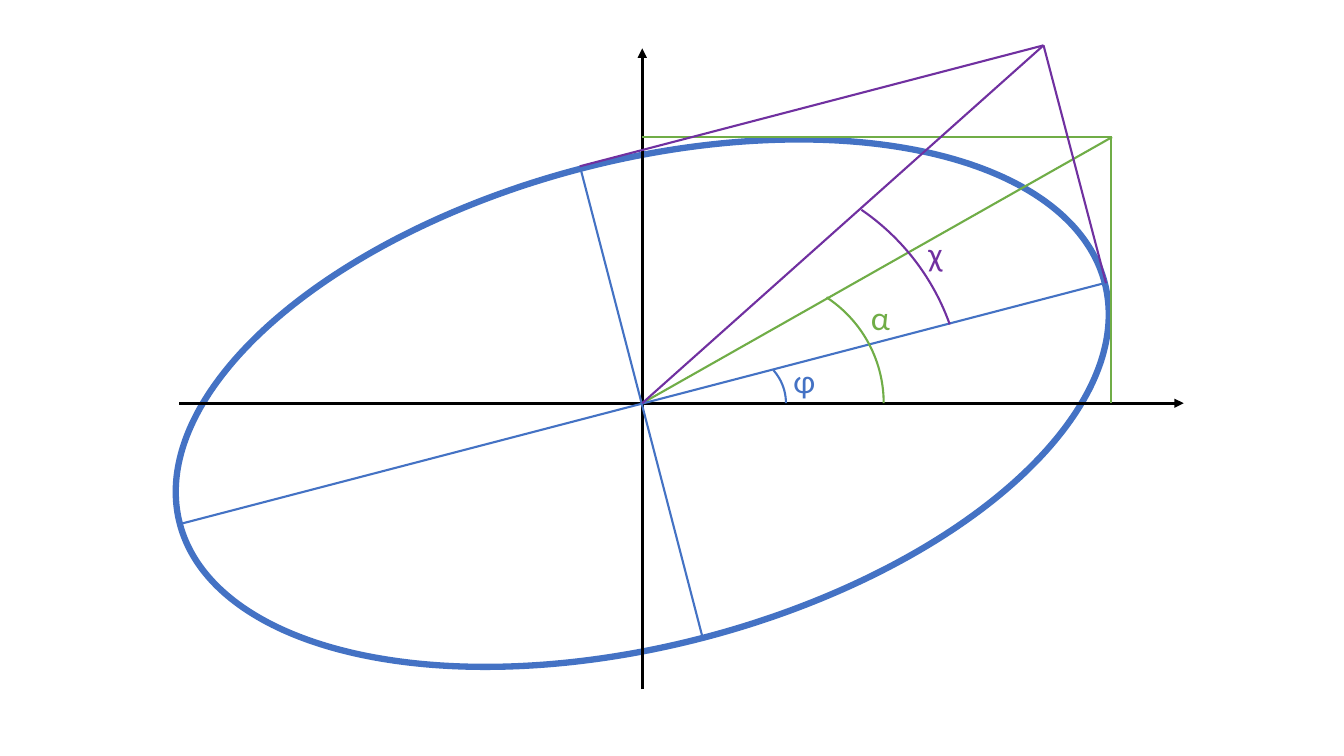
"""Draw a tilted ellipse with its axes, bounding corners and three marked angles."""
import dataclasses
import typing

import lxml.etree
import pptx
import pptx.dml.color
import pptx.enum.shapes
import pptx.enum.text
import pptx.oxml.ns
import pptx.util

Inches = pptx.util.Inches
Point = tuple[float, float]
Shapes = enum_shapes = pptx.enum.shapes.MSO_SHAPE
COLOURS = {"blue": "4472C4", "green": "70AD47", "purple": "7030A0", "black": "000000", "white": "FFFFFF"}
CENTRE = (6.37, 4)
GREEN_CORNER = (11.03, 1.36)
PURPLE_CORNER = (10.35, 0.45)
ELLIPSE_SIZE = (9.48, 4.81)
ELLIPSE_TILT = -14.6


@dataclasses.dataclass(frozen=True)
class Segment:
    """A straight line, with an arrowhead at its end if wanted."""
    start: Point
    end: Point
    colour: str
    width: float = 1.5
    arrow: bool = False


@dataclasses.dataclass(frozen=True)
class Angle:
    """An arc of a circle in degrees clockwise, and its Greek letter."""
    letter: str
    colour: str
    middle: float
    radius: float
    first: float
    last: float
    label: Point


SEGMENTS = [
    Segment((1.78, 4), (11.74, 4), "black", 2.25, True),
    Segment((6.37, 6.84), (6.37, 0.48), "black", 2.25, True),
    Segment((6.37, 1.36), GREEN_CORNER, "green"),
    Segment((11.02, 1.36), (11.02, 4), "green"),
    Segment(GREEN_CORNER, CENTRE, "green"),
    Segment((10.95, 2.81), (1.78, 5.2), "blue"),
    Segment((6.97, 6.33), (5.76, 1.68), "blue"),
    Segment(PURPLE_CORNER, (5.75, 1.65), "purple"),
    Segment((10.97, 2.81), PURPLE_CORNER, "purple"),
    Segment(PURPLE_CORNER, CENTRE, "purple"),
]
ANGLES = [
    Angle("φ", "blue", 7.3, 0.495, 318.57, 0, (7.77, 3.52)),
    Angle("α", "green", 7.51, 1.255, 303.22, 0, (8.54, 2.9)),
    Angle("χ", "purple", 7.23, 2.325, 304.39, 340.35, (9.11, 2.26)),
]


def rgb(name: str) -> pptx.dml.color.RGBColor:
    """Return a named colour."""
    return pptx.dml.color.RGBColor.from_string(COLOURS[name])


def apply(target: typing.Any, values: dict[str, typing.Any]) -> None:
    """Set each format value on the target."""
    for name, value in values.items():
        setattr(target, name, value)


def style_line(line: typing.Any, colour: str, width: float) -> None:
    """Give a line its colour and width."""
    line.color.rgb = rgb(colour)
    line.width = pptx.util.Pt(width)


def draw_ellipse(shapes: typing.Any) -> None:
    """Draw the tilted ellipse around the centre."""
    width, height = ELLIPSE_SIZE
    ellipse = shapes.add_shape(
        pptx.enum.shapes.MSO_SHAPE.OVAL,
        Inches(CENTRE[0] - width / 2), Inches(CENTRE[1] - height / 2), Inches(width), Inches(height))
    ellipse.rotation = ELLIPSE_TILT
    ellipse.shadow.inherit = False
    ellipse.fill.solid()
    ellipse.fill.fore_color.rgb = rgb("white")
    style_line(ellipse.line, "blue", 4.5)


def draw_segment(shapes: typing.Any, segment: Segment) -> None:
    """Draw one straight line."""
    ends = [Inches(value) for value in (*segment.start, *segment.end)]
    connector = shapes.add_connector(pptx.enum.shapes.MSO_CONNECTOR.STRAIGHT, *ends)
    style_line(connector.line, segment.colour, segment.width)
    properties = connector.element.spPr
    if segment.arrow:
        outline = properties.find(pptx.oxml.ns.qn("a:ln"))
        lxml.etree.SubElement(outline, pptx.oxml.ns.qn("a:tailEnd"), type="triangle")
    lxml.etree.SubElement(properties, pptx.oxml.ns.qn("a:effectLst"))


def draw_arc(shapes: typing.Any, angle: Angle) -> None:
    """Draw the arc of one angle."""
    side = Inches(2 * angle.radius)
    arc = shapes.add_shape(
        pptx.enum.shapes.MSO_SHAPE.ARC,
        Inches(angle.middle - angle.radius), Inches(CENTRE[1] - angle.radius), side, side)
    for index, degrees in enumerate((angle.first, angle.last)):
        arc.adjustments[index] = degrees * 0.6
    arc.shadow.inherit = False
    arc.fill.background()
    style_line(arc.line, angle.colour, 1.5)


def draw_label(shapes: typing.Any, angle: Angle) -> None:
    """Write the letter of one angle."""
    left, top = angle.label
    box = shapes.add_textbox(Inches(left), Inches(top), Inches(0.52), Inches(0.5))
    apply(box.text_frame, {
        "text": angle.letter,
        "word_wrap": True,
        "auto_size": pptx.enum.text.MSO_AUTO_SIZE.SHAPE_TO_FIT_TEXT,
    })
    font = box.text_frame.paragraphs[0].runs[0].font
    apply(font, {"name": "Calibri", "size": pptx.util.Pt(24)})
    font.color.rgb = rgb(angle.colour)


def main() -> None:
    """Build and save the deck."""
    deck = pptx.Presentation()
    apply(deck, {"slide_width": Inches(13.33), "slide_height": Inches(7.5)})
    page = deck.slides.add_slide(deck.slide_layouts[6])
    diagram = page.shapes.add_group_shape().shapes
    draw_ellipse(diagram)
    for segment in SEGMENTS:
        draw_segment(diagram, segment)
    for angle in ANGLES:
        draw_arc(diagram, angle)
        draw_label(diagram, angle)
    deck.save("out.pptx")


if __name__ == "__main__":
    main()
